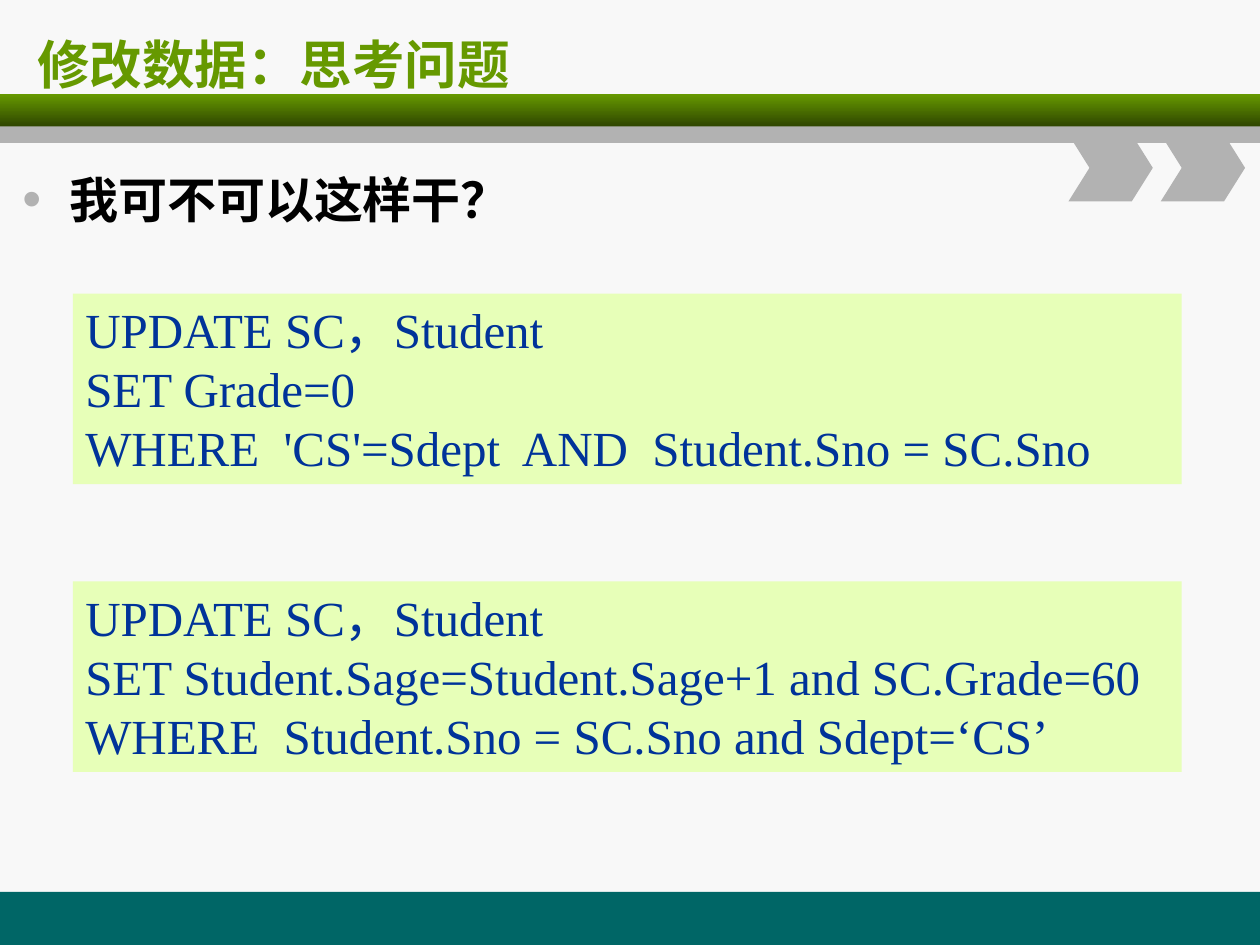
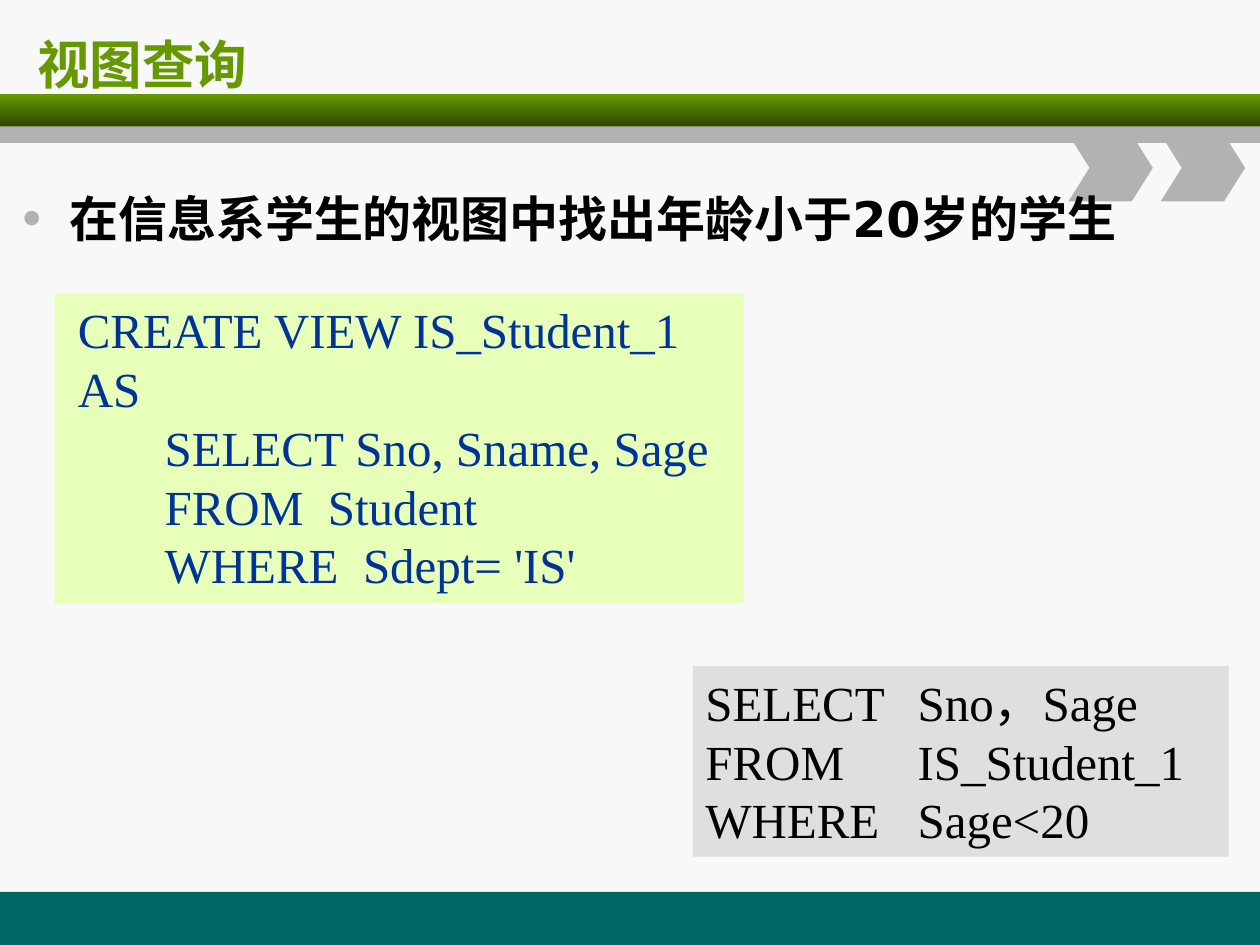
from lxml import etree
from pptx import Presentation
from pptx.dml.color import RGBColor
from pptx.enum.shapes import MSO_SHAPE
from pptx.enum.text import MSO_ANCHOR, PP_ALIGN
from pptx.oxml.ns import qn
from pptx.util import Cm, Pt

GREEN = RGBColor(0x66, 0x99, 0x00)
DARK_GREEN = RGBColor(0x2F, 0x46, 0x00)
TEAL = RGBColor(0x00, 0x66, 0x66)
GREY = RGBColor(0xB2, 0xB2, 0xB2)
PALE_GREY = RGBColor(0xDF, 0xDF, 0xDF)
PALE_GREEN = RGBColor(0xE7, 0xFF, 0xB8)
PAPER = RGBColor(0xF8, 0xF8, 0xF8)
NAVY = RGBColor(0x00, 0x33, 0x99)
BLACK = RGBColor(0x00, 0x00, 0x00)

HEADING_FONT = "DejaVu Sans"
CODE_FONT = "Times New Roman"
WIDTH, HEIGHT = 25.4, 19.05


def add_block(page, kind, box, color):
    """Add a flat shape in the box (left, top, width, height in cm)."""
    shape = page.shapes.add_shape(kind, *map(Cm, box))
    shape.shadow.inherit = False
    shape.fill.solid()
    shape.fill.fore_color.rgb = color
    shape.line.fill.background()
    return shape


def format_runs(paragraph, font, size, color, bold=False):
    """Give every run of a paragraph the same character format."""
    for span in paragraph.runs:
        span.font.name = font
        span.font.size = Pt(size)
        span.font.bold = bold
        span.font.color.rgb = color


def add_header_band(page, box):
    """Draw the shaded band, the grey strip under it and two chevrons."""
    left, top, width, height = box
    band_height = height * 0.66
    band = add_block(page, MSO_SHAPE.RECTANGLE, (left, top, width, band_height), GREEN)
    band.fill.gradient()
    band.fill.gradient_angle = 270
    for stop, color in zip(band.fill.gradient_stops, (GREEN, DARK_GREEN)):
        stop.color.rgb = color
    strip = add_block(page, MSO_SHAPE.RECTANGLE,
                      (left, top + band_height, width, height - band_height), GREY)
    shapes = [band, strip]
    for index in range(2):
        chevron = add_block(page, MSO_SHAPE.CHEVRON,
                            (left + 21.54 + index * 1.86, top + 0.81, 1.7, 1.35), GREY)
        chevron.adjustments[0] = 0.314
        shapes.append(chevron)
    return shapes


def decorate_layout(layout, page):
    """Set the background, and move the shared bands from the page to its layout."""
    layout.background.fill.solid()
    layout.background.fill.fore_color.rgb = PAPER
    footer = add_block(page, MSO_SHAPE.RECTANGLE, (0, 17.98, WIDTH, HEIGHT - 17.98), TEAL)
    shapes = [footer] + add_header_band(page, (0, 1.9, WIDTH, 0.98))
    for position, shape in enumerate(shapes, start=2):
        layout.shapes.element.insert(position, shape.element)


def set_title(page, text, box):
    """Move and format the title placeholder."""
    title = page.shapes.title
    title.left, title.top, title.width, title.height = map(Cm, box)
    frame = title.text_frame
    frame.text = text
    frame.vertical_anchor = MSO_ANCHOR.MIDDLE
    frame.paragraphs[0].alignment = PP_ALIGN.LEFT
    format_runs(frame.paragraphs[0], HEADING_FONT, 30, GREEN, bold=True)


def add_bullet(page, text, box):
    """Add one bold line with a grey round bullet."""
    frame = page.shapes.add_textbox(*map(Cm, box)).text_frame
    frame.word_wrap = True
    frame.text = text
    paragraph = frame.paragraphs[0]
    format_runs(paragraph, HEADING_FONT, 28, BLACK, bold=True)
    properties = paragraph._p.get_or_add_pPr()
    properties.set("marL", str(Cm(0.95)))
    properties.set("indent", str(-Cm(0.95)))
    bullet_color = etree.SubElement(properties, qn("a:buClr"))
    etree.SubElement(bullet_color, qn("a:srgbClr"), val=str(GREY))
    etree.SubElement(properties, qn("a:buSzPct"), val="110000")
    etree.SubElement(properties, qn("a:buFont"), typeface="Arial")
    etree.SubElement(properties, qn("a:buChar"), char="•")
    paragraph.space_before = Pt(5.6)


def add_code(page, lines, box, fill=PALE_GREEN, color=NAVY, indents=None, tab=None):
    """Add a filled panel of code; indents and the tab stop are in cm."""
    panel = add_block(page, MSO_SHAPE.RECTANGLE, box, fill)
    frame = panel.text_frame
    frame.word_wrap = True
    frame.vertical_anchor = MSO_ANCHOR.TOP
    frame.text = "\n".join(lines)
    for paragraph, indent in zip(frame.paragraphs, indents or [0] * len(lines)):
        format_runs(paragraph, CODE_FONT, 28, color)
        paragraph.alignment = PP_ALIGN.LEFT
        properties = paragraph._p.get_or_add_pPr()
        properties.set("marL", str(Cm(indent)))
        if tab:
            stops = etree.SubElement(properties, qn("a:tabLst"))
            etree.SubElement(stops, qn("a:tab"), pos=str(Cm(tab)), algn="l")
        paragraph.line_spacing = Pt(33.6)


def fill_update_page(page):
    """Show two updates that span two tables."""
    set_title(page, "修改数据：思考问题", TITLE_BOX)
    add_bullet(page, "我可不可以这样干？", (0.2, 3.3, 24.9, 1.8))
    updates = [
        ("SET Grade=0",
         "WHERE  'CS'=Sdept  AND  Student.Sno = SC.Sno"),
        ("SET Student.Sage=Student.Sage+1 and SC.Grade=60",
         "WHERE  Student.Sno = SC.Sno and Sdept=‘CS’"),
    ]
    for index, clauses in enumerate(updates):
        add_code(page, ["UPDATE SC，Student", *clauses],
                 (1.47, 5.92 + index * 5.8, 22.35, 3.84))


def fill_view_page(page):
    """Show a view definition and the query that uses it."""
    set_title(page, "视图查询", TITLE_BOX)
    add_bullet(page, "在信息系学生的视图中找出年龄小于20岁的学生", (0.2, 3.68, 24.9, 1.83))
    add_code(page,
             ["CREATE VIEW IS_Student_1", "AS", "SELECT Sno, Sname, Sage",
              "FROM  Student", "WHERE  Sdept= 'IS'"],
             (1.1, 5.92, 13.9, 6.24), indents=[0.22, 0.22, 1.97, 1.97, 1.97])
    add_code(page, ["SELECT\tSno，Sage", "FROM\tIS_Student_1", "WHERE\tSage<20"],
             (13.97, 13.43, 10.8, 3.84), fill=PALE_GREY, color=BLACK, tab=4.28)


TITLE_BOX = (0.5, 0.43, 24.25, 1.7)

deck = Presentation()
deck.slide_width, deck.slide_height = Cm(WIDTH), Cm(HEIGHT)
title_only = deck.slide_layouts[5]
update_page = deck.slides.add_slide(title_only)
view_page = deck.slides.add_slide(title_only)
decorate_layout(title_only, update_page)
fill_update_page(update_page)
fill_view_page(view_page)
deck.save("out.pptx")
